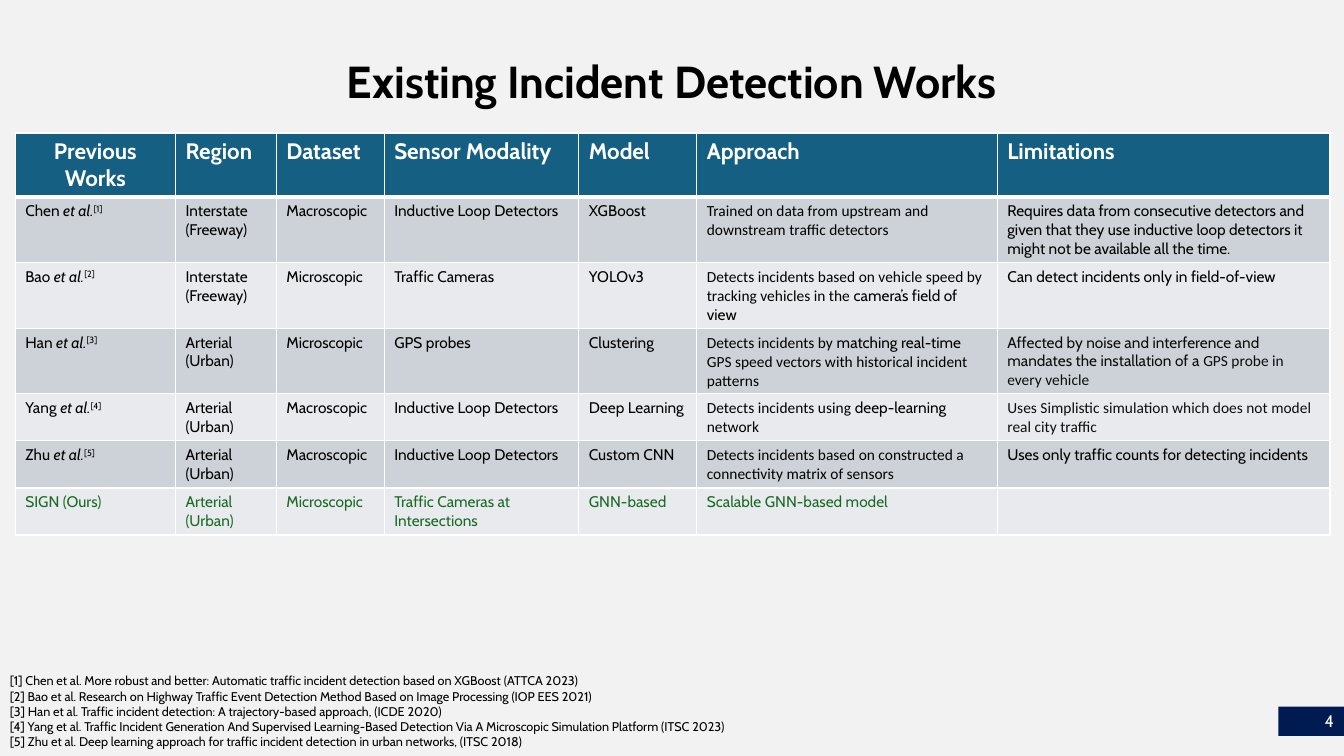
from dataclasses import dataclass

from lxml.etree import SubElement
from pptx import Presentation
from pptx.dml.color import RGBColor
from pptx.enum.shapes import MSO_SHAPE as Shape
from pptx.enum.text import MSO_ANCHOR as Anchor, MSO_AUTO_SIZE as AutoSize, PP_ALIGN as Align
from pptx.oxml.ns import qn
from pptx.util import Inches, Pt


@dataclass(frozen=True)
class Theme:
    font: str = "Cabin"
    alt_font: str = "Calibri"
    background: str = "F2F2F2"
    ink: str = "000000"
    soft_ink: str = "0D0D0D"
    white: str = "FFFFFF"
    header: str = "156082"
    bands: tuple = ("CCD2D8", "E8EAED")
    ours: str = "196B24"
    badge: str = "001A52"
    title_size: int = 32
    header_size: int = 16
    badge_size: int = 12
    body_size: int = 11
    note_size: int = 9
    rule: int = 1
    header_rule: int = 3


THEME = Theme()


@dataclass(frozen=True)
class Span:
    text: str
    font: str = THEME.font
    color: str = ""
    italic: bool = False
    raised: bool = False


def alt(text, color=""):
    return Span(text, THEME.alt_font, color)


def cite(author, number):
    return [Span(f"{author} "), Span("et al.", italic=True), Span(f"[{number}]", raised=True)]


class SlideBuilder:
    """Draws on one slide; every length is a percentage of the slide's size."""

    def __init__(self, deck, theme):
        self.deck, self.theme = deck, theme
        self.slide = deck.slides.add_slide(deck.slide_layouts[5])
        fill = self.slide.background.fill
        fill.solid()
        fill.fore_color.rgb = RGBColor.from_string(theme.background)

    def across(self, share):
        return round(self.deck.slide_width * share / 100)

    def down(self, share):
        return round(self.deck.slide_height * share / 100)

    def area(self, left, top, width, height):
        return self.across(left), self.down(top), self.across(width), self.down(height)

    def add_text(self, para, content, size, color, bold=False, align=Align.LEFT):
        """Fill a paragraph from a string or a list of spans."""
        para.alignment = align
        para.font.size = Pt(size)
        for span in [Span(content)] if isinstance(content, str) else content:
            run = para.add_run()
            run.text = span.text
            font = run.font
            font.name, font.size = span.font, Pt(size)
            font.bold, font.italic = bold, span.italic
            font.color.rgb = RGBColor.from_string(span.color or color)
            if span.raised:
                run._r.get_or_add_rPr().set("baseline", "30000")

    def title(self, text, area):
        box = self.slide.shapes.title
        box.left, box.top, box.width, box.height = self.area(*area)
        frame = box.text_frame
        frame.word_wrap = True
        frame.auto_size = AutoSize.SHAPE_TO_FIT_TEXT
        frame.vertical_anchor = Anchor.TOP
        self.add_text(frame.paragraphs[0], text, self.theme.title_size, self.theme.ink,
                      bold=True, align=Align.CENTER)

    def notes(self, lines, area):
        frame = self.slide.shapes.add_textbox(*self.area(*area)).text_frame
        frame.word_wrap = False
        frame.auto_size = AutoSize.SHAPE_TO_FIT_TEXT
        for index, line in enumerate(lines):
            para = frame.add_paragraph() if index else frame.paragraphs[0]
            self.add_text(para, line, self.theme.note_size, self.theme.ink)

    def badge(self, text, area):
        box = self.slide.shapes.add_shape(Shape.RECTANGLE, *self.area(*area))
        box.shadow.inherit = False
        box.fill.solid()
        box.fill.fore_color.rgb = RGBColor.from_string(self.theme.badge)
        box.line.fill.background()
        box.text_frame.vertical_anchor = Anchor.MIDDLE
        self.add_text(box.text_frame.paragraphs[0], text, self.theme.badge_size,
                      self.theme.white, align=Align.RIGHT)

    def paint(self, cell, color, bottom_rule):
        """Give a cell its white borders, then its fill."""
        properties = cell._tc.get_or_add_tcPr()
        for side in "LRTB":
            width = bottom_rule if side == "B" else self.theme.rule
            line = SubElement(properties, qn(f"a:ln{side}"), w=str(Pt(width)))
            SubElement(SubElement(line, qn("a:solidFill")), qn("a:srgbClr"), val=self.theme.white)
        cell.fill.solid()
        cell.fill.fore_color.rgb = RGBColor.from_string(color)

    def table(self, header, rows, left, top, widths, row_height):
        theme = self.theme
        count = len(rows) + 1
        area = self.area(left, top, sum(widths), row_height * count)
        table = self.slide.shapes.add_table(count, len(widths), *area).table
        for column, width in zip(table.columns, widths):
            column.width = self.across(width)
        for index, text in enumerate(header):
            cell = table.cell(0, index)
            self.paint(cell, theme.header, theme.header_rule)
            self.add_text(cell.text_frame.paragraphs[0], text, theme.header_size, theme.white,
                          bold=True, align=Align.LEFT if index else Align.CENTER)
        for number, row in enumerate(rows, 1):
            color = theme.ours if number == len(rows) else theme.ink
            for index, content in enumerate(row):
                cell = table.cell(number, index)
                self.paint(cell, theme.bands[(number - 1) % 2], theme.rule)
                self.add_text(cell.text_frame.paragraphs[0], content, theme.body_size, color)


HEADER = ["Previous Works", "Region", "Dataset", "Sensor Modality", "Model", "Approach",
          "Limitations"]
FREEWAY, URBAN = "Interstate (Freeway)", "Arterial (Urban)"
MACRO, MICRO = "Macroscopic", "Microscopic"
LOOPS = "Inductive Loop Detectors"
WORKS = [
    [cite("Chen", 1), FREEWAY, MACRO, LOOPS, "XGBoost",
     [alt("Trained on data from upstream and downstream traffic detectors")],
     "Requires data from consecutive detectors and given that they use inductive loop "
     "detectors it might not be available all the time."],
    [cite("Bao", 2), FREEWAY, MICRO, "Traffic Cameras", "YOLOv3",
     [alt("Detects incidents based on vehicle speed by tracking vehicles in the "),
      Span("camera’s field of view")],
     "Can detect incidents only in field-of-view"],
    [cite("Han", 3), URBAN, MICRO, "GPS probes", "Clustering",
     [alt("Detects incidents by "), Span("matching real-time "),
      alt("GPS speed vectors with historical incident patterns")],
     [Span("Affected by noise and interference and mandates the installation of a",
           color=THEME.soft_ink),
      alt(" GPS probe in every vehicle", THEME.soft_ink)]],
    [cite("Yang", 4), URBAN, MACRO, LOOPS, "Deep Learning",
     [alt("Detects incidents using "), Span("deep-learning "), alt("network")],
     [alt("Uses Simplistic simulation which does not model real city traffic",
          THEME.soft_ink)]],
    [cite("Zhu", 5), URBAN, MACRO, LOOPS, "Custom CNN",
     [alt("Detects incidents based on constructed a connectivity matrix of sensors")],
     "Uses only traffic counts for detecting incidents"],
    ["SIGN (Ours)", URBAN, MICRO, "Traffic Cameras at Intersections", "GNN-based",
     "Scalable GNN-based model", []],
]
REFERENCES = [
    "[1] Chen et al. More robust and better: Automatic traffic incident detection based on "
    "XGBoost (ATTCA 2023)",
    "[2] Bao et al. Research on Highway Traffic Event Detection Method Based on Image "
    "Processing (IOP EES 2021)",
    "[3] Han et al. Traffic incident detection: A trajectory-based approach, (ICDE 2020)",
    "[4] Yang et al. Traffic Incident Generation And Supervised Learning-Based Detection Via "
    "A Microscopic Simulation Platform (ITSC 2023)",
    "[5] Zhu et al. Deep learning approach for traffic incident detection in urban networks, "
    "(ITSC 2018)",
]


def main():
    deck = Presentation()
    deck.slide_width, deck.slide_height = Inches(13.33), Inches(7.5)
    page = SlideBuilder(deck, THEME)
    page.title("Existing Incident Detection Works", (15.38, 6.4, 69.24, 8.53))
    page.notes(REFERENCES, (0, 88.4, 56.11, 11.47))
    page.table(HEADER, WORKS, left=1.13, top=17.6,
               widths=[11.93, 7.5, 8.03, 14.48, 8.78, 22.36, 24.76], row_height=5.47)
    page.badge("4", (95.12, 93.47, 4.88, 3.87))
    deck.save("out.pptx")


if __name__ == "__main__":
    main()
